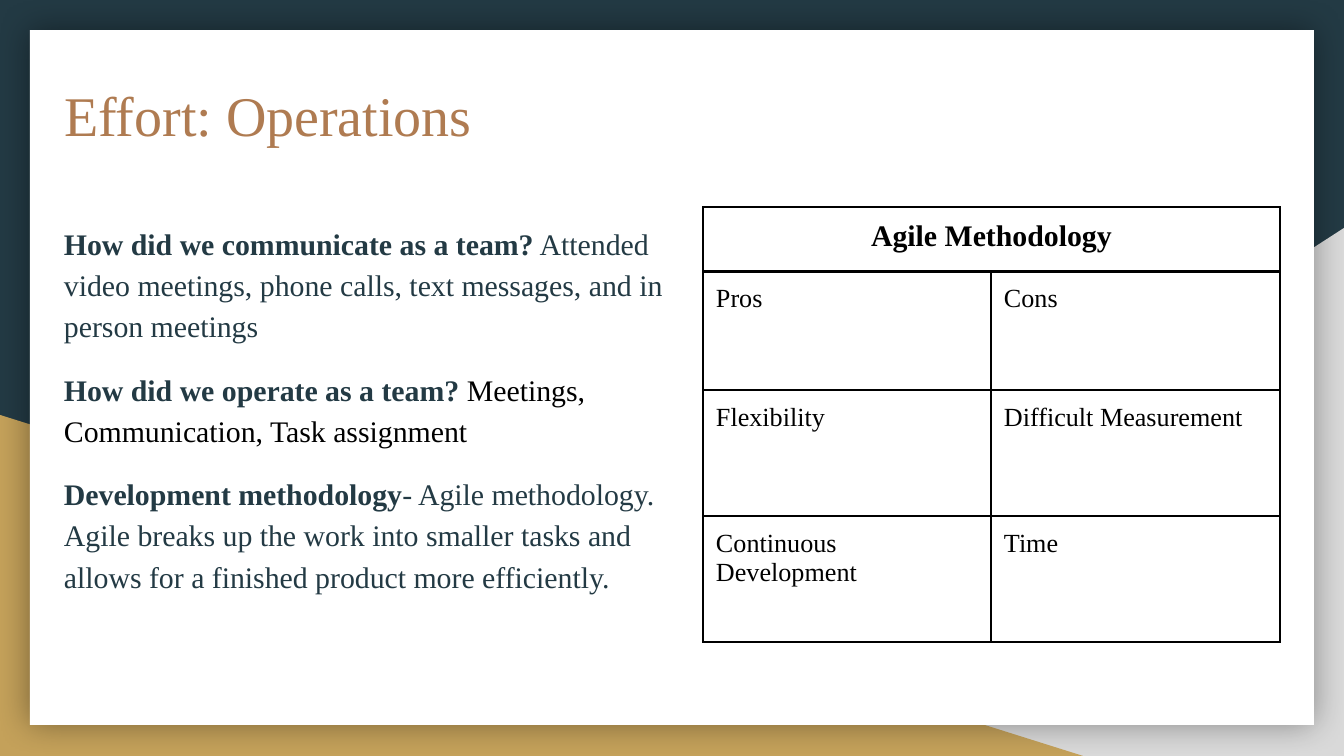
from dataclasses import dataclass

from lxml.etree import SubElement
from pptx import Presentation
from pptx.dml.color import RGBColor
from pptx.enum.shapes import MSO_SHAPE
from pptx.enum.text import MSO_ANCHOR, PP_ALIGN
from pptx.oxml.ns import qn
from pptx.util import Emu, Pt

EMU_PER_PX = 914400 / 134.4
FONT = "Times New Roman"
NAVY, GOLD, GRAY = "233A44", "C4A15A", "D9D9D9"
COPPER, BLACK, WHITE = "AF7B51", "000000", "FFFFFF"
INSET = 13


@dataclass(frozen=True)
class Box:
    left: int
    top: int
    width: int
    height: int


@dataclass(frozen=True)
class Panel:
    preset: MSO_SHAPE
    box: Box
    color: str
    flipped: bool = False
    shadowed: bool = False


@dataclass(frozen=True)
class Answer:
    question: str
    reply: str
    reply_color: str = NAVY


@dataclass(frozen=True)
class Grid:
    left: int
    top: int
    columns: tuple[int, ...]
    rows: tuple[int, ...]
    texts: tuple[tuple[str, ...], ...]
    size: int
    bold: bool = False
    align: PP_ALIGN = PP_ALIGN.LEFT


def px(length: int) -> Emu:
    return Emu(round(length * EMU_PER_PX))


def rgb(color: str) -> RGBColor:
    return RGBColor.from_string(color)


def place(box: Box) -> tuple[Emu, ...]:
    return px(box.left), px(box.top), px(box.width), px(box.height)


def set_margins(holder) -> None:
    holder.margin_left = holder.margin_right = px(INSET)
    holder.margin_top = holder.margin_bottom = px(INSET)


def style(font, size: int, color: str, bold: bool = False) -> None:
    font.name, font.size, font.bold = FONT, Pt(size), bold
    font.color.rgb = rgb(color)


def draw_panel(slide, panel: Panel) -> None:
    shape = slide.shapes.add_shape(panel.preset, *place(panel.box))
    shape.fill.solid()
    shape.fill.fore_color.rgb = rgb(panel.color)
    shape.line.fill.background()
    shape.shadow.inherit = False
    properties = shape.element.spPr
    if panel.flipped:
        properties.xfrm.set("flipH", "1")
    if panel.shadowed:
        effects = properties.find(qn("a:effectLst"))
        shadow = SubElement(effects, qn("a:outerShdw"), blurRad=str(Pt(18)),
                            dist="0", dir="0", algn="ctr", rotWithShape="0")
        tint = SubElement(shadow, qn("a:srgbClr"), val=BLACK)
        SubElement(tint, qn("a:alpha"), val="40000")


def add_text_frame(slide, box: Box, anchor: MSO_ANCHOR):
    frame = slide.shapes.add_textbox(*place(box)).text_frame
    frame.word_wrap = True
    frame.vertical_anchor = anchor
    set_margins(frame)
    return frame


def draw_answers(slide, box: Box, answers: tuple[Answer, ...]) -> None:
    frame = add_text_frame(slide, box, MSO_ANCHOR.TOP)
    for index, answer in enumerate(answers):
        paragraph = frame.add_paragraph() if index else frame.paragraphs[0]
        paragraph.line_spacing = 1.15
        paragraph.space_before = Pt(12 if index else 0)
        for text, color, bold in ((answer.question, NAVY, True),
                                  (answer.reply, answer.reply_color, False)):
            run = paragraph.add_run()
            run.text = text
            style(run.font, 16, color, bold)


def draw_borders(cell) -> None:
    properties = cell._tc.get_or_add_tcPr()
    for side in ("lnL", "lnR", "lnT", "lnB"):
        line = SubElement(properties, qn(f"a:{side}"), w=str(Pt(0.75)))
        fill = SubElement(line, qn("a:solidFill"))
        SubElement(fill, qn("a:srgbClr"), val=BLACK)


def draw_grid(slide, grid: Grid) -> None:
    box = Box(grid.left, grid.top, sum(grid.columns), sum(grid.rows))
    table = slide.shapes.add_table(
        len(grid.rows), len(grid.columns), *place(box)).table
    table.first_row = table.horz_banding = False
    for column, width in zip(table.columns, grid.columns):
        column.width = px(width)
    for row, height, texts in zip(table.rows, grid.rows, grid.texts):
        row.height = px(height)
        for cell, text in zip(row.cells, texts):
            draw_borders(cell)
            cell.fill.background()
            set_margins(cell)
            cell.text = text
            paragraph = cell.text_frame.paragraphs[0]
            paragraph.alignment = grid.align
            style(paragraph.font, grid.size, BLACK, grid.bold)


PANELS = (
    Panel(MSO_SHAPE.RIGHT_TRIANGLE, Box(527, 228, 817, 528), GRAY, flipped=True),
    Panel(MSO_SHAPE.RIGHT_TRIANGLE, Box(0, 415, 1083, 341), GOLD),
    Panel(MSO_SHAPE.RECTANGLE, Box(30, 30, 1284, 695), WHITE, shadowed=True),
)
ANSWERS = (
    Answer("How did we communicate as a team?",
           " Attended video meetings, phone calls, text messages, "
           "and in person meetings"),
    Answer("How did we operate as a team? ",
           "Meetings, Communication, Task assignment", BLACK),
    Answer("Development methodology",
           "- Agile methodology. Agile breaks up the work into smaller tasks "
           "and allows for a finished product more efficiently."),
)
GRIDS = (
    Grid(703, 271, (288, 289), (119, 126, 126),
         (("Pros", "Cons"),
          ("Flexibility", "Difficult Measurement"),
          ("Continuous Development", "Time")), 14),
    Grid(703, 207, (577,), (65,), (("Agile Methodology",),), 16,
         bold=True, align=PP_ALIGN.CENTER),
)


def main() -> None:
    presentation = Presentation()
    presentation.slide_width, presentation.slide_height = px(1344), px(756)
    slide = presentation.slides.add_slide(presentation.slide_layouts[6])

    # Background and card
    slide.background.fill.solid()
    slide.background.fill.fore_color.rgb = rgb(NAVY)
    for panel in PANELS:
        draw_panel(slide, panel)

    # Team answers
    draw_answers(slide, Box(51, 207, 656, 435), ANSWERS)

    # Pros and cons below their heading
    for grid in GRIDS:
        draw_grid(slide, grid)

    # Title
    title = add_text_frame(slide, Box(51, 63, 1103, 103), MSO_ANCHOR.MIDDLE)
    title.text = "Effort: Operations"
    style(title.paragraphs[0].font, 30, COPPER)

    presentation.save("out.pptx")


if __name__ == "__main__":
    main()
